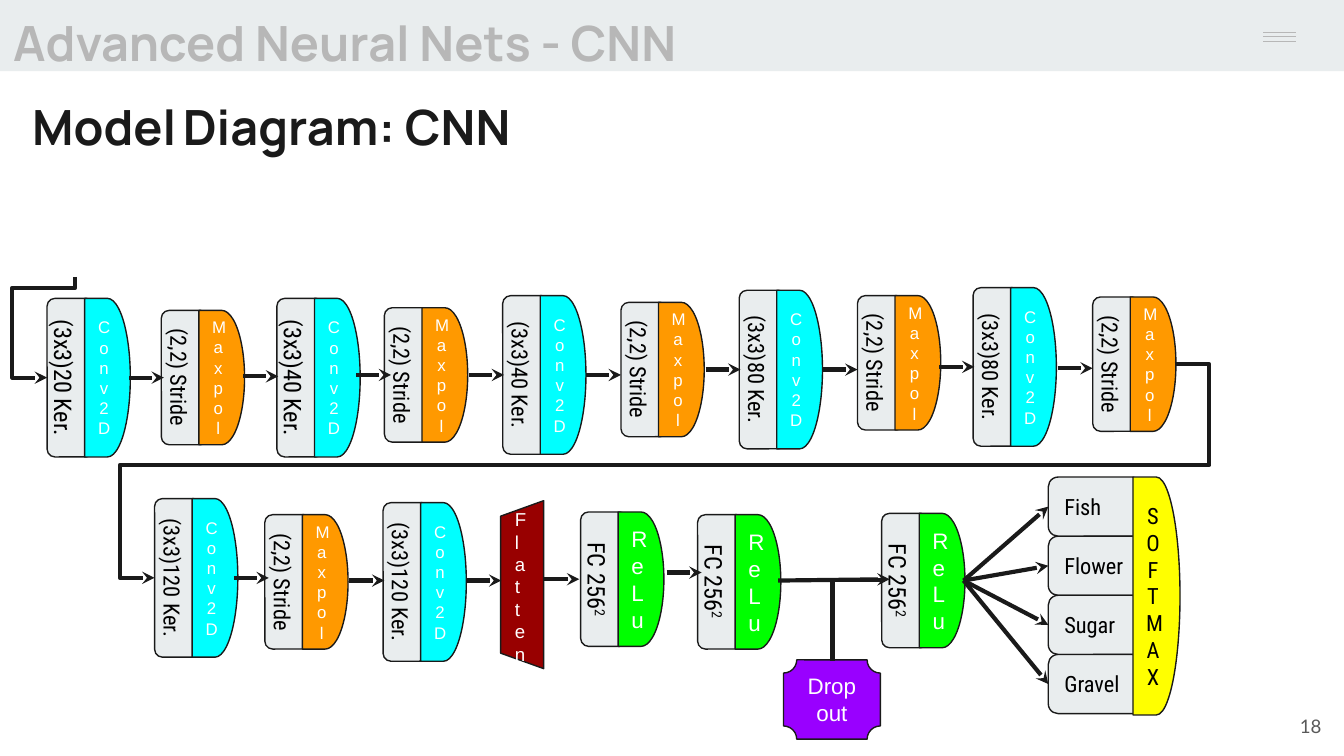
import pptx
import pptx.util
import pptx.dml.color
import pptx.enum.shapes
import pptx.enum.text
import pptx.oxml.ns
from lxml import etree

Inches, Pt = pptx.util.Inches, pptx.util.Pt
RGB = pptx.dml.color.RGBColor
SHAPE = pptx.enum.shapes.MSO_SHAPE
CONNECTOR = pptx.enum.shapes.MSO_CONNECTOR
ALIGN = pptx.enum.text.PP_ALIGN
ANCHOR = pptx.enum.text.MSO_ANCHOR
qn = pptx.oxml.ns.qn

PALE = RGB(0xE9, 0xED, 0xEE)
GREY = RGB(0xB7, 0xB7, 0xB7)
SLATE = RGB(0x59, 0x59, 0x59)
INK = RGB(0x1A, 0x1A, 0x1A)
BLACK = RGB(0, 0, 0)
WHITE = RGB(0xFF, 0xFF, 0xFF)
CYAN = RGB(0, 0xFF, 0xFF)
ORANGE = RGB(0xFF, 0x99, 0)
GREEN = RGB(0, 0xFF, 0)
MAROON = RGB(0x98, 0, 0)
PURPLE = RGB(0x99, 0, 0xFF)
YELLOW = RGB(0xFF, 0xFF, 0)

HEADING = dict(name="Manrope", size=Pt(26), bold=True)
LABEL = dict(name="Roboto Condensed", size=Pt(12))
SMALL = dict(name="Lato", size=Pt(10))
CAPTION = dict(name="Arial", size=Pt(12))

# layer kind: caption, colour, height, caption size
LAYERS = {
    "conv": ("Conv2D", CYAN, 1.18, 9),
    "pool": ("Maxpol", ORANGE, 1.0, 9),
    "dense": ("ReLu", GREEN, 1.0, 12),
}
# layer kind, label, label size, left, middle
BLOCKS = [
    ("conv", "(3x3)20 Ker.", 13, 0.35, 2.81),
    ("pool", "(2,2) Stride", 12, 1.2, 2.81),
    ("conv", "(3x3)40 Ker.", 13, 2.06, 2.81),
    ("pool", "(2,2) Stride", 12, 2.86, 2.79),
    ("conv", "(3x3)40 Ker.", 12, 3.74, 2.79),
    ("pool", "(2,2) Stride", 12, 4.62, 2.75),
    ("conv", "(3x3)80 Ker.", 12, 5.5, 2.75),
    ("pool", "(2,2) Stride", 12, 6.38, 2.7),
    ("conv", "(3x3)80 Ker.", 12, 7.24, 2.73),
    ("pool", "(2,2) Stride", 12, 8.13, 2.71),
    ("conv", "(3x3)120 Ker.", 12, 1.15, 4.3),
    ("pool", "(2,2) Stride", 12, 1.97, 4.33),
    ("conv", "(3x3)120 Ker.", 12, 2.85, 4.33),
    ("dense", "FC 256", 13, 4.32, 4.31),
    ("dense", "FC 256", 13, 5.19, 4.33),
    ("dense", "FC 256", 13, 6.56, 4.32),
]
STEP_ARROWS = [
    (0.96, 2.81), (1.81, 2.8), (2.65, 2.79), (3.49, 2.79), (4.36, 2.79),
    (5.25, 2.75), (6.12, 2.75), (6.99, 2.73), (7.87, 2.74),
    (1.74, 4.3), (2.6, 4.32), (3.47, 4.32), (4.05, 4.31), (4.96, 4.26),
]
STEP = 0.26
# unrotated start and end, rotation, preset, adjustments, arrowhead
ELBOWS = [
    ((0.08, 2.33, 0.83, 2.54), 90, "bentConnector4", [10900, 223600], True),
    ((8.74, 2.71, 1.15, 4.3), 0, "bentConnector5", [-3400, 47200, 103400], True),
    ((6.08, 4.43, 6.68, 4.8), 270, "bentConnector2", [], False),
]
CLASSES = ["Fish", "Flower", "Sugar", "Gravel"]
CLASS_TOP, CLASS_PITCH = 3.55, 0.44
FAN_START = (7.17, 4.32)

deck = pptx.Presentation()
deck.slide_width = Inches(10)
deck.slide_height = deck.slide_width * 9 // 16
page = deck.slides.add_slide(deck.slide_layouts[6])


def write(box, paragraphs, align=ALIGN.LEFT, anchor=ANCHOR.TOP):
    """Fill a box; each paragraph is a list of (text, colour, font values)."""
    frame = box.text_frame
    values = dict(word_wrap=True, vertical_anchor=anchor)
    for side in ("left", "right", "top", "bottom"):
        values["margin_" + side] = Inches(0.1)
    for key, value in values.items():
        setattr(frame, key, value)
    for index, spans in enumerate(paragraphs):
        paragraph = frame.add_paragraph() if index else frame.paragraphs[0]
        paragraph.alignment = align
        for text, color, font in spans:
            span = paragraph.add_run()
            span.text = text
            span.font.color.rgb = color
            for key, value in font.items():
                setattr(span.font, key, value)
    return frame


def add_box(at, *text, **layout):
    box = page.shapes.add_textbox(*map(Inches, at))
    return write(box, [text], **layout)


def add_shape(kind, at, fill, outlined=True, rotation=0):
    shape = page.shapes.add_shape(kind, *map(Inches, at))
    shape.shadow.inherit = False
    shape.rotation = rotation
    shape.fill.solid()
    shape.fill.fore_color.rgb = fill
    if outlined:
        shape.line.color.rgb = INK
        shape.line.width = Pt(0.75)
    else:
        shape.line.fill.background()
    return shape


def add_line(ends, kind=CONNECTOR.STRAIGHT, color=INK, width=2.25, arrow=True):
    line = page.shapes.add_connector(kind, *map(Inches, ends))
    line.line.color.rgb = color
    line.line.width = Pt(width)
    properties = line.element.spPr
    if arrow:
        etree.SubElement(properties.find(qn("a:ln")), qn("a:tailEnd"), type="stealth")
    etree.SubElement(properties, qn("a:effectLst"))
    return line


def add_elbow(ends, rotation, preset, adjustments, arrow):
    properties = add_line(ends, CONNECTOR.ELBOW, arrow=arrow).element.spPr
    properties.find(qn("a:xfrm")).set("rot", str(rotation * 60000))
    geometry = properties.find(qn("a:prstGeom"))
    geometry.set("prst", preset)
    guides = geometry.find(qn("a:avLst"))
    for number, value in enumerate(adjustments, 1):
        etree.SubElement(guides, qn("a:gd"), name=f"adj{number}", fmla=f"val {value}")


def add_block(kind, label, size, left, middle):
    """Draw a layer: its turned label panel and its rounded caption."""
    caption, color, height, caption_size = LAYERS[kind]
    thickness = 0.35
    at = (left + (thickness - height) / 2, middle - thickness / 2, height, thickness)
    panel = add_shape(SHAPE.ROUNDED_RECTANGLE, at, PALE, rotation=90)
    font = LABEL | dict(size=Pt(size))
    spans = [(label, BLACK, font)]
    if kind == "dense":
        spans.append(("2", BLACK, font))
    frame = write(panel, [spans], ALIGN.CENTER)
    if kind == "dense":
        exponent = frame.paragraphs[0].runs[1]
        exponent._r.get_or_add_rPr().set("baseline", "30000")
    cap = add_shape(SHAPE.FLOWCHART_DELAY, (left + 0.28, middle - height / 2, 0.34, height), color)
    write(cap, [[(caption, WHITE, CAPTION | dict(size=Pt(caption_size)))]],
          ALIGN.CENTER, ANCHOR.MIDDLE)


# Header and titles
add_shape(SHAPE.RECTANGLE, (0, 0, 10, 0.53), PALE, outlined=False)
for y in (0.24, 0.27, 0.31):
    add_line((9.4, y, 9.64, y), color=GREY, width=0.75, arrow=False)
title = add_box((0.14, 0.56, 6.38, 0.69), ("Model", INK, HEADING),
                (" ", SLATE, dict(name="Lato", size=Pt(13))), ("Diagram: CNN", INK, HEADING))
title.paragraphs[0].line_spacing = 1.15
add_box((0, 0, 5.5, 0.54), ("Advanced Neural Nets - CNN", GREY, HEADING))
add_box((9.33, 5.19, 0.6, 0.43), ("18", SLATE, SMALL), align=ALIGN.RIGHT, anchor=ANCHOR.MIDDLE)

# Network layers
for block in BLOCKS:
    add_block(*block)
flatten = add_shape(SHAPE.TRAPEZOID, (3.26, 4.19, 1.25, 0.32), MAROON, rotation=270)
flatten.adjustments[0] = 0.36
add_box((3.79, 3.68, 0.14, 0.8), ("Flatten", WHITE, CAPTION | dict(size=Pt(10))))
dropout = add_shape(SHAPE.PLAQUE, (5.83, 4.91, 0.72, 0.59), PURPLE)
write(dropout, [[("Dropout", WHITE, CAPTION)]], ALIGN.CENTER, ANCHOR.MIDDLE)

# Output classes
for index, name in enumerate(CLASSES):
    top = CLASS_TOP + index * CLASS_PITCH
    output = add_shape(SHAPE.ROUNDED_RECTANGLE, (7.8, top, 0.7, 0.44), PALE)
    write(output, [[(name, BLACK, LABEL)]], anchor=ANCHOR.MIDDLE)
    add_line((*FAN_START, 7.8, top + 0.22))
softmax = add_shape(SHAPE.FLOWCHART_DELAY, (8.43, CLASS_TOP, 0.35, 1.77), YELLOW)
write(softmax, [[(letter, BLACK, LABEL)] for letter in "SOFTMAX"], ALIGN.CENTER, ANCHOR.MIDDLE)

# Connections
for x, y in STEP_ARROWS:
    add_line((x, y, x + STEP, y))
add_line((5.79, 4.32, 6.62, 4.31))
for elbow in ELBOWS:
    add_elbow(*elbow)

deck.save("out.pptx")
